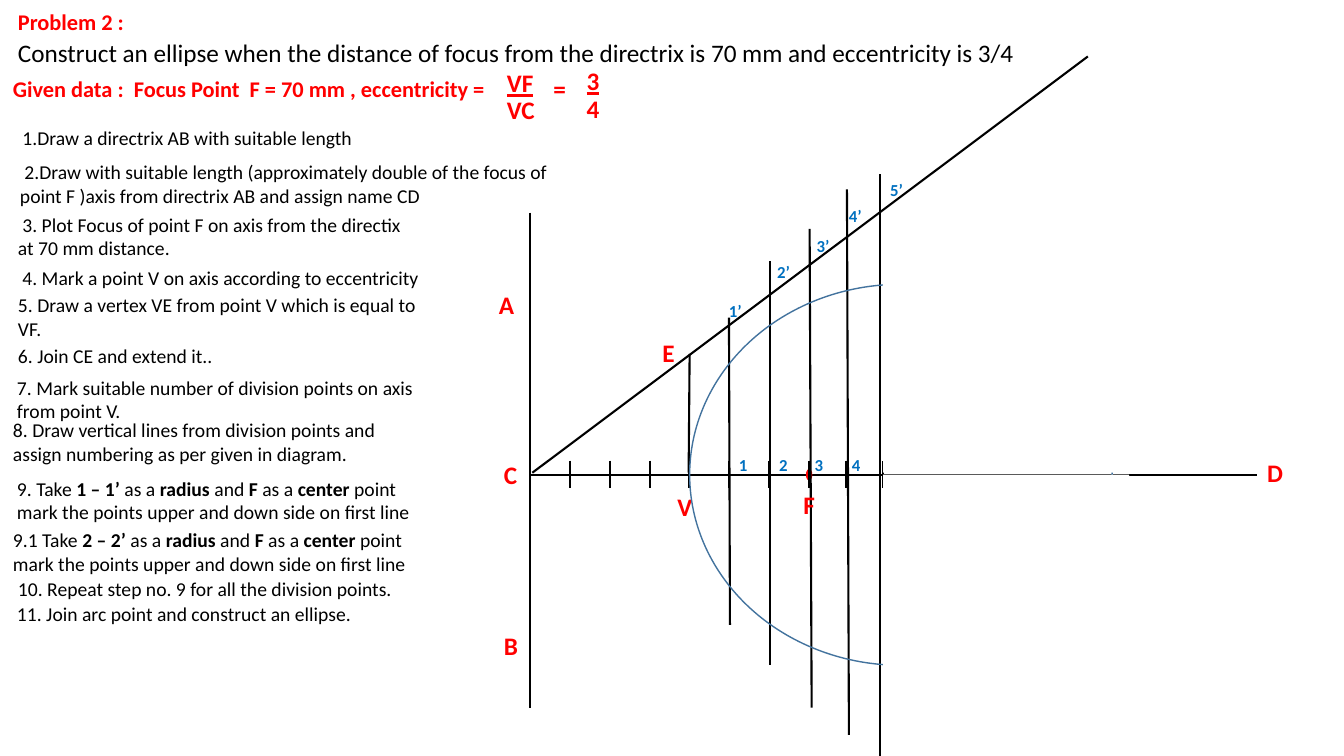
from dataclasses import dataclass
from lxml.etree import SubElement
from pptx import Presentation
from pptx.dml.color import RGBColor as Rgb
from pptx.enum.shapes import MSO_CONNECTOR as Link, MSO_SHAPE as Kind
from pptx.enum.text import MSO_AUTO_SIZE as Fit
from pptx.oxml.ns import qn
from pptx.util import Inches, Pt


@dataclass(frozen=True)
class Theme:
    font: str = "Calibri"
    ink: str = "000000"
    red: str = "FF0000"
    blue: str = "0070C0"
    curve: str = "43739E"
    paper: str = "FFFFFF"
    title: int = 18
    head: int = 16
    body: int = 14
    small: int = 12
    thick: float = 1.5
    thin: float = 1


T = Theme()
CELL = 0.1  # grid step in inches: 133.3 columns by 75 rows
AXIS = 47.1  # row of the axis CD
HIGH = {T.title: 4, T.head: 3.7, T.body: 3.4, T.small: 3}  # rows per text line
STEP = 41.8  # usual columns for a step

# Left, top, columns, text; asterisks enclose bold words
STEPS = [
    (0.8, 12, 39.9, " 1.Draw a directrix AB with suitable length"),
    (1, 15.4, 55.3, " 2.Draw with suitable length (approximately double of the focus of "
                    "point F )axis from directrix AB and assign name CD"),
    (0.8, 20.6, STEP, " 3. Plot Focus of point F on axis from the directix at 70 mm distance."),
    (0.8, 25.9, STEP, " 4. Mark a point V on axis according to eccentricity"),
    (0.8, 28.6, STEP, "5. Draw a vertex VE from point V which is equal to VF."),
    (0.8, 33.6, STEP, "6. Join CE and extend it.."),
    (0.7, 36.8, STEP, "7. Mark suitable number of division points on axis from point V."),
    (0.3, 41, STEP, "8. Draw vertical lines from division points and "
                    "assign numbering as per given in diagram."),
    (0.8, 56.7, STEP, "10. Repeat step no. 9 for all the division points."),
    (0.7, 59.2, STEP, "11. Join arc point and construct an ellipse."),
]
ARCS = [(0.7, 46.8, "9.", "1 – 1’ "), (0.3, 51.9, "9.1", "2 – 2’ ")]
ARC = ("{} Take *{}*as a *radius* and *F* as a *center* point "
       "mark the points upper and down side on first line")

# Left, top, columns, text, underlined
RATIO = [
    (49.3, 6.2, 4.7, "VF", True), (49.3, 8.9, 4.8, "VC", False),
    (53.9, 6.8, 3.3, "=", False),
    (57.2, 6, 3.3, "3", True), (57.2, 8.8, 3.9, "4", False),
]
POINTS = [
    ("A", 48.5, 28.2, 3.7), ("B", 49, 62, 3.4), ("C", 49, 45.1, 3.4),
    ("D", 124.7, 44.9, 3.6), ("E", 64.7, 33, 3.2), ("F", 78.7, 48.1, 3.2),
    ("V", 66.2, 48.3, 3.5),
]
TICKS = [56.5, 60.5, 64.5, 68.3, 72.35, 76.3, 80.2, 83.9, 87.55]
# Upper column, row, lower column, row for each division line
LINES = [
    (72.3, 31.5, 72.4, 62), (76.4, 25.9, 76.4, 66), (80.3, 22.7, 80.5, 70.2),
    (84, 18.8, 84.2, 72.9), (87.3, 17.3, 87.3, 75),
]
NUMS = [72.3, 76.3, 79.8, 83.5]
PRIMES = [(71.3, 29.3), (76.1, 25.5), (80, 22.9), (83.2, 19.9), (87.3, 17.3)]


def grid(*cells):
    return [Inches(n * CELL) for n in cells]


def text(page, left, top, wide, words, size, hue=T.ink, bold=False, wrap=True, under=False):
    box = page.shapes.add_textbox(*grid(left, top, wide, HIGH[size]))
    frame = box.text_frame
    frame.word_wrap = wrap
    frame.auto_size = Fit.SHAPE_TO_FIT_TEXT
    para = frame.paragraphs[0]
    for i, part in enumerate(words.split("*")):
        run = para.add_run()
        run.text = part
        font = run.font
        font.name, font.size = T.font, Pt(size)
        font.bold = bold or i % 2 == 1
        font.underline = under
        font.color.rgb = Rgb.from_string(hue)


def label(page, left, top, wide, words, size=T.title, under=False):
    text(page, left, top, wide, words, size, T.red, bold=True, wrap=False, under=under)


def line(page, *ends):
    rule = page.shapes.add_connector(Link.STRAIGHT, *grid(*ends))
    rule.line.width = Pt(T.thick)
    rule.line.color.rgb = Rgb.from_string(T.ink)
    SubElement(rule.element.spPr, qn("a:effectLst"))


def shape(page, kind, area, fill=None, edge=None):
    form = page.shapes.add_shape(kind, *grid(*area))
    form.shadow.inherit = False
    if fill:
        form.fill.solid()
        form.fill.fore_color.rgb = Rgb.from_string(fill)
    else:
        form.fill.background()
    if edge:
        form.line.width = Pt(T.thin)
        form.line.color.rgb = Rgb.from_string(edge)
    else:
        form.line.fill.background()


def brief(page):
    # Problem and given data
    label(page, 0.8, 0.3, 12.7, "Problem 2 :", T.head)
    text(page, 0.8, 3.2, 111.2, "Construct an ellipse when the distance of focus from "
         "the directrix is 70 mm and eccentricity is 3/4", T.title)
    label(page, 0.3, 7, 49.4, "Given data :  Focus Point  F = 70 mm , eccentricity =", T.head)
    for left, top, wide, words, under in RATIO:
        label(page, left, top, wide, words, under=under)

    # Steps of the construction
    for step in STEPS:
        text(page, *step, T.body)
    for left, top, num, pair in ARCS:
        text(page, left, top, STEP, ARC.format(num, pair), T.body)


def figure(page):
    # Axis, directrix, focus
    line(page, 52.7, AXIS, 124.7, AXIS)
    line(page, 52.6, 21.1, 52.6, 70.2)
    shape(page, Kind.FLOWCHART_CONNECTOR, (80, 46.6, 0.5, 1), T.red, T.red)

    # Ticks, vertex line VE, ray CE, division lines
    for x in TICKS:
        line(page, x, 45.7, x, 48.4)
    line(page, 68.4, 35.1, 68.3, 46.9)
    line(page, 107.9, 5.6, 52.8, 46.9)
    for ends in LINES:
        line(page, *ends)

    # Names and numbers
    for name, left, top, wide in POINTS:
        label(page, left, top, wide, name)
    for i, left in enumerate(NUMS, 1):
        text(page, left, 44.6, 2.9, str(i), T.small, T.blue, bold=True)
    for i, (left, top) in enumerate(PRIMES, 1):
        text(page, left, top, 5.1, f"{i}’", T.small, T.blue, bold=True)

    # Ellipse, with its right half masked above and below the axis
    shape(page, Kind.OVAL, (68.4, 28.2, 41.9, 37.8), edge=T.curve)
    for top in (22.9, AXIS):
        shape(page, Kind.RECTANGLE, (87.6, top, 24.4, 24), T.paper)


def main():
    deck = Presentation()
    deck.slide_width, deck.slide_height = Inches(13.33), Inches(7.5)
    page = deck.slides.add_slide(deck.slide_layouts[6])
    brief(page)
    figure(page)
    deck.save("out.pptx")


if __name__ == "__main__":
    main()
